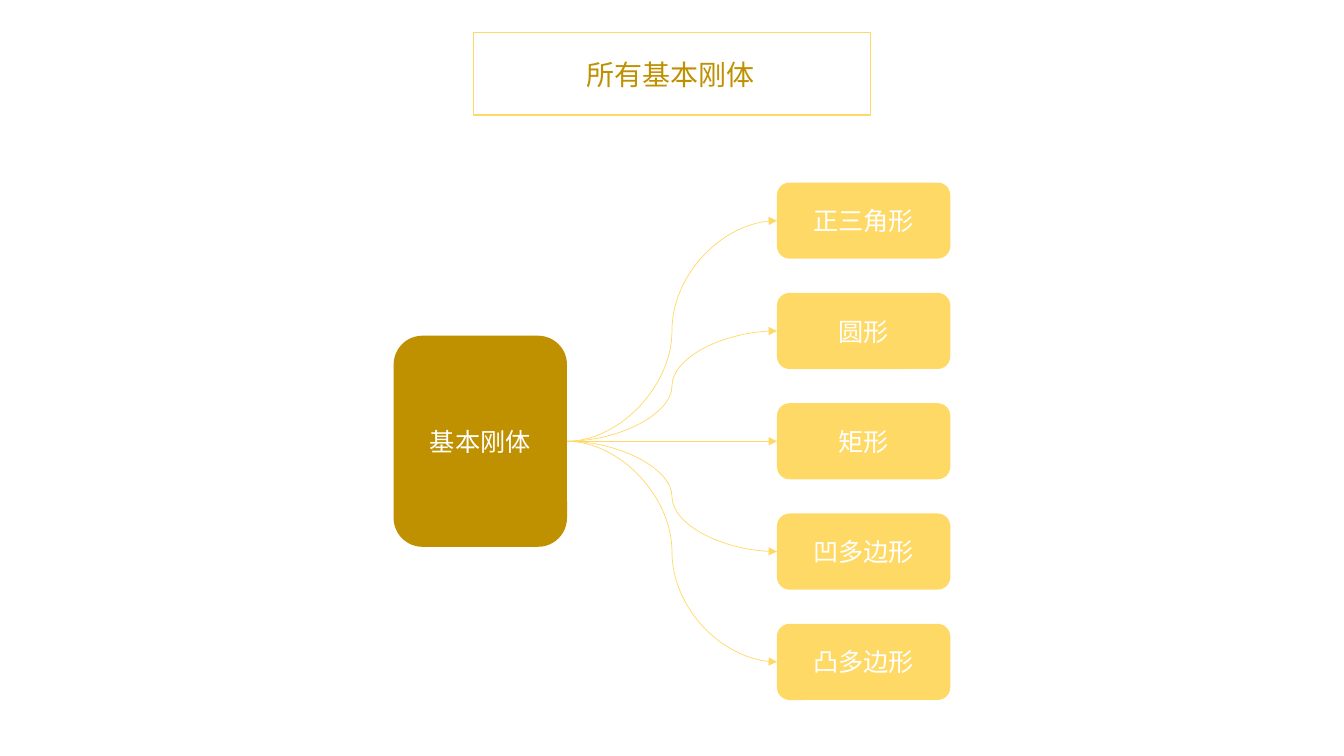
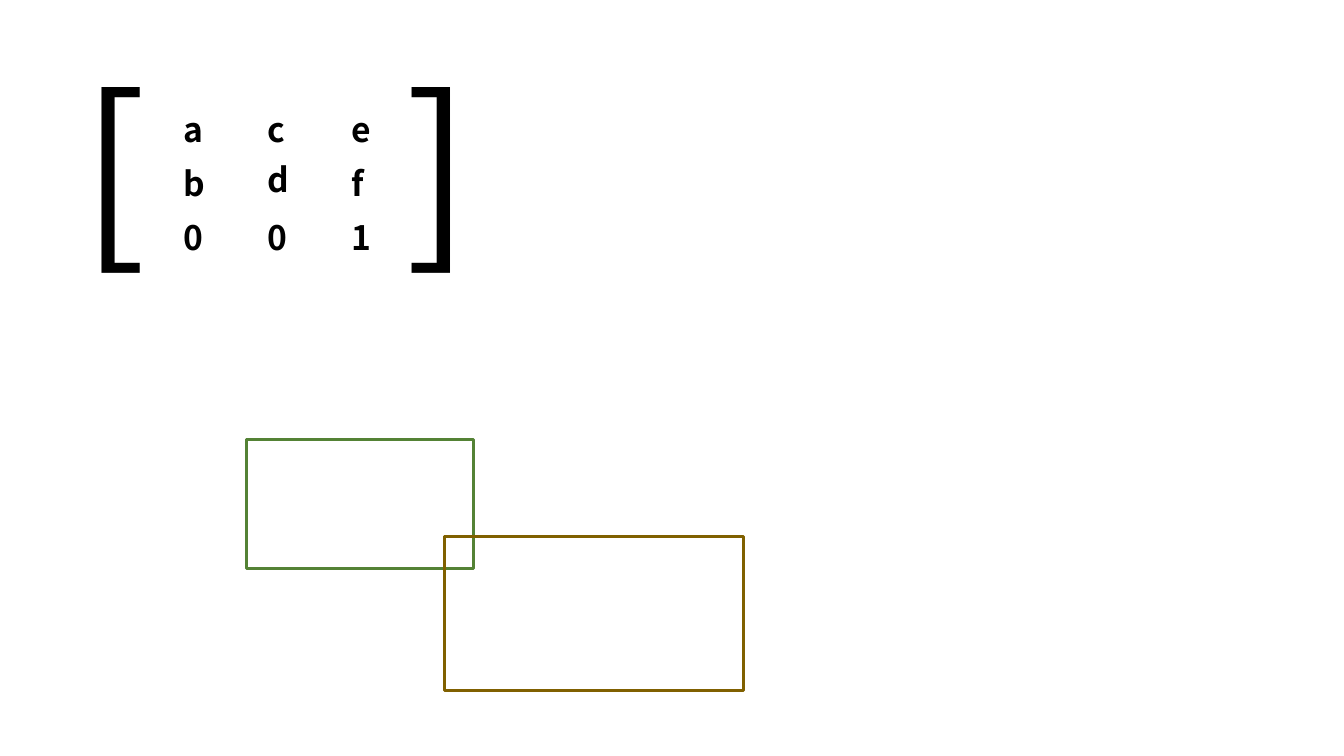
from typing import NamedTuple

from lxml import etree
from pptx import Presentation
from pptx.dml.color import RGBColor
from pptx.enum.shapes import MSO_CONNECTOR, MSO_SHAPE
from pptx.enum.text import MSO_ANCHOR, MSO_AUTO_SIZE, PP_ALIGN
from pptx.oxml.ns import qn
from pptx.util import Cm, Pt

CURVE = MSO_CONNECTOR.CURVE
RECT = MSO_SHAPE.RECTANGLE
ROUND = MSO_SHAPE.ROUNDED_RECTANGLE
MIDDLE = MSO_ANCHOR.MIDDLE
CENTER = PP_ALIGN.CENTER
GROW = MSO_AUTO_SIZE.SHAPE_TO_FIT_TEXT

FACE = "Noto Sans CJK SC"
GOLD, SAND, WHITE, BLACK = "BF9000", "FFD966", "FFFFFF", "000000"
GREEN, BROWN = "548235", "806000"
NODE = {"size": Pt(18), "bold": False}
TITLE = {"size": Pt(20), "bold": False}
BRACKET = {"size": Pt(138), "bold": False}
LETTER = {"size": Pt(24), "bold": True}
RIGHT, LEFT = 3, 1


class Box(NamedTuple):
    left: float
    top: float
    width: float
    height: float

    def lengths(self) -> list:
        return [Cm(value) for value in self]


def color(code: str) -> RGBColor:
    return RGBColor.from_string(code)


def write(frame, text: str, style: dict, code: str) -> None:
    run = frame.paragraphs[0].add_run()
    run.text = text
    for name, value in {"name": FACE, **style}.items():
        setattr(run.font, name, value)
    run.font.color.rgb = color(code)
    east = etree.SubElement(run.font._element, qn("a:ea"))
    east.set("typeface", FACE)


def label(slide, box: Box, text: str, style: dict, code: str) -> None:
    frame = slide.shapes.add_textbox(*box.lengths()).text_frame
    frame.word_wrap = False
    frame.auto_size = GROW
    write(frame, text, style, code)


def node(slide, box: Box, text: str, code: str):
    shape = slide.shapes.add_shape(ROUND, *box.lengths())
    shape.shadow.inherit = False
    shape.fill.solid()
    shape.fill.fore_color.rgb = color(code)
    shape.line.fill.background()
    frame = shape.text_frame
    frame.vertical_anchor = MIDDLE
    frame.paragraphs[0].alignment = CENTER
    write(frame, text, NODE, WHITE)
    return shape


def outline(slide, box: Box, code: str, weight: float) -> None:
    shape = slide.shapes.add_shape(RECT, *box.lengths())
    shape.shadow.inherit = False
    shape.fill.background()
    shape.line.color.rgb = color(code)
    shape.line.width = Pt(weight)


def link(slide, start, end) -> None:
    line = slide.shapes.add_connector(CURVE, 0, 0, 0, 0)
    line.begin_connect(start, RIGHT)
    line.end_connect(end, LEFT)
    line.line.color.rgb = color(SAND)
    line.line.width = Pt(0.5)
    tail = etree.SubElement(line.line._get_or_add_ln(), qn("a:tailEnd"))
    tail.set("type", "triangle")
    etree.SubElement(line._element.spPr, qn("a:effectLst"))


def bodies(slide) -> None:
    names = ["正三角形", "圆形", "矩形", "凹多边形", "凸多边形"]
    root = node(slide, Box(9.92, 8.46, 4.37, 5.32), "基本刚体", GOLD)
    for row, name in enumerate(names):
        box = Box(19.58, 4.6 + 2.78 * row, 4.37, 1.92)
        link(slide, root, node(slide, box, name, SAND))
    outline(slide, Box(11.94, 0.82, 10, 2.08), SAND, 1)
    label(slide, Box(14.53, 1.32, 4.78, 1.11), "所有基本刚体", TITLE, GOLD)


def matrix(slide) -> None:
    for left, mark in ((1.8, "["), (9.98, "]")):
        label(slide, Box(left, 1.07, 1.96, 6.15), mark, BRACKET, BLACK)
    for row, letters in enumerate(("ace", "bdf", "001")):
        for col, letter in enumerate(letters):
            lift = 0.09 if letter == "d" else 0
            box = Box(4.37 + 2.12 * col, 2.62 + 1.36 * row - lift, 1, 1.27)
            label(slide, box, letter, LETTER, BLACK)
    outline(slide, Box(6.22, 11.07, 5.72, 3.25), GREEN, 2)
    outline(slide, Box(11.2, 13.51, 7.54, 3.89), BROWN, 2)


def main() -> None:
    deck = Presentation()
    deck.slide_width, deck.slide_height = Cm(33.87), Cm(19.05)
    for draw in (bodies, matrix):
        draw(deck.slides.add_slide(deck.slide_layouts[6]))
    deck.save("out.pptx")


if __name__ == "__main__":
    main()
